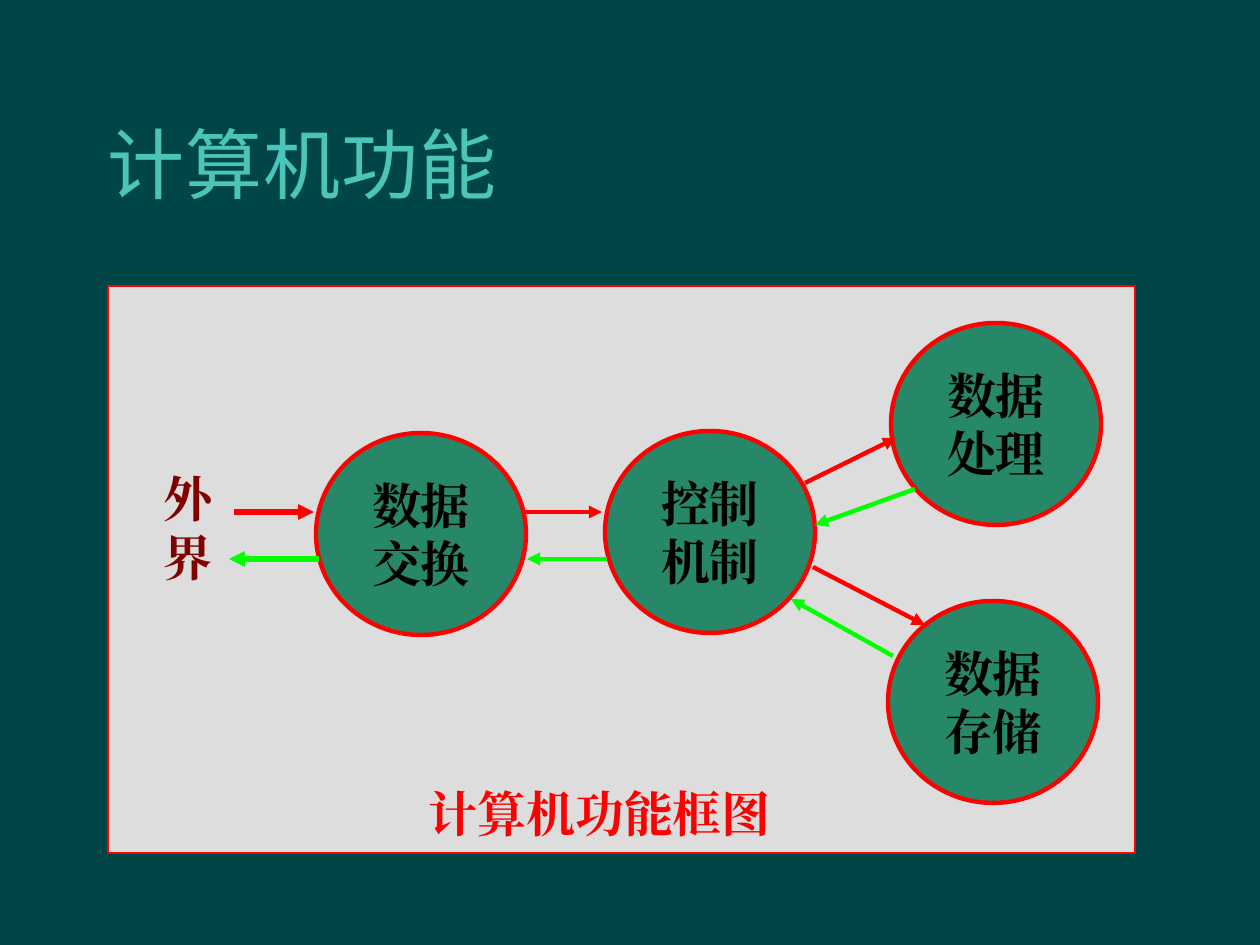
from dataclasses import dataclass

from lxml.etree import SubElement
from pptx import Presentation
from pptx.dml.color import RGBColor
from pptx.enum.shapes import MSO_CONNECTOR as Connector, MSO_SHAPE as Preset
from pptx.enum.text import MSO_ANCHOR as Anchor, MSO_AUTO_SIZE as AutoSize, PP_ALIGN as Align
from pptx.oxml.ns import qn
from pptx.util import Emu, Pt

PX_PER_INCH = 126
RED, GREEN = "FF0000", "00FF00"
CIRCLE_W, CIRCLE_H = 210, 202


@dataclass
class Unit:
    """A circle naming one function of the computer."""
    text: str
    x: int
    y: int


@dataclass
class Flow:
    """A data flow pointing from its start to its end."""
    start: tuple[int, int]
    end: tuple[int, int]
    color: str
    weight: float = 2.5


UNITS = [
    Unit("数据交换", 316, 433),
    Unit("控制机制", 605, 431),
    Unit("数据处理", 891, 323),
    Unit("数据存储", 888, 601),
]

FLOWS = [
    Flow((524, 512), (602, 512), RED),
    Flow((607, 559), (527, 559), GREEN),
    Flow((805, 483), (896, 438), RED),
    Flow((915, 489), (815, 525), GREEN),
    Flow((813, 567), (925, 625), RED),
    Flow((893, 656), (791, 599), GREEN),
    Flow((234, 512), (314, 512), RED, 3),
    Flow((319, 559), (229, 559), GREEN, 3),
]


def px(length: int) -> Emu:
    return Emu(round(length * 914400 / PX_PER_INCH))


def rgb(value: str) -> RGBColor:
    return RGBColor.from_string(value)


def write(shape, text: str, *, color: str, size: int = 28, font: str = "Times New Roman",
          bold: bool = True, align=Align.LEFT, anchor=Anchor.TOP, spacing: int = 0) -> None:
    frame = shape.text_frame
    frame.word_wrap = True
    frame.auto_size = AutoSize.NONE
    frame.vertical_anchor = anchor
    paragraph = frame.paragraphs[0]
    paragraph.alignment = align
    run = paragraph.add_run()
    run.text = text
    run.font.size, run.font.bold, run.font.name = Pt(size), bold, font
    run.font.color.rgb = rgb(color)
    # East Asian typeface and character spacing
    properties = run.font._element
    SubElement(properties, qn("a:ea")).set("typeface", font)
    if spacing:
        properties.set("spc", str(spacing))


def add_outlined(slide, preset, x: int, y: int, w: int, h: int, fill: str, weight: float):
    shape = slide.shapes.add_shape(preset, px(x), px(y), px(w), px(h))
    shape.shadow.inherit = False
    shape.fill.solid()
    shape.fill.fore_color.rgb = rgb(fill)
    shape.line.color.rgb = rgb(RED)
    shape.line.width = Pt(weight)
    return shape


def add_unit(slide, unit: Unit) -> None:
    circle = add_outlined(slide, Preset.OVAL, unit.x, unit.y, CIRCLE_W, CIRCLE_H, "268868", 2.5)
    write(circle, unit.text, color="000000", align=Align.CENTER, anchor=Anchor.MIDDLE)


def add_flow(slide, flow: Flow) -> None:
    arrow = slide.shapes.add_connector(Connector.STRAIGHT, *map(px, flow.start + flow.end))
    arrow.line.color.rgb = rgb(flow.color)
    arrow.line.width = Pt(flow.weight)
    SubElement(arrow.line._get_or_add_ln(), qn("a:tailEnd")).set("type", "triangle")
    SubElement(arrow._element.spPr, qn("a:effectLst"))


def add_label(slide, text: str, x: int, y: int, w: int, h: int, color: str) -> None:
    write(slide.shapes.add_textbox(px(x), px(y), px(w), px(h)), text, color=color)


def main() -> None:
    deck = Presentation()
    deck.slide_width, deck.slide_height = px(1260), px(945)
    slide = deck.slides.add_slide(deck.slide_layouts[5])
    slide.background.fill.solid()
    slide.background.fill.fore_color.rgb = rgb("004646")

    # Title
    title = slide.shapes.title
    title.left, title.top, title.width, title.height = map(px, (95, 84, 1071, 158))
    write(title, "计算机功能", color="4BC5B9", size=44, font="Roboto", bold=False,
          anchor=Anchor.MIDDLE, spacing=50)

    # Diagram panel, units and the flows between them
    add_outlined(slide, Preset.RECTANGLE, 108, 286, 1027, 567, "DDDDDD", 1)
    for unit in UNITS:
        add_unit(slide, unit)
    for flow in FLOWS:
        add_flow(slide, flow)

    # Outside world and caption
    add_label(slide, "外界", 151, 462, 66, 130, "800000")
    add_label(slide, "计算机功能框图", 416, 777, 404, 72, RED)

    deck.save("out.pptx")


if __name__ == "__main__":
    main()
